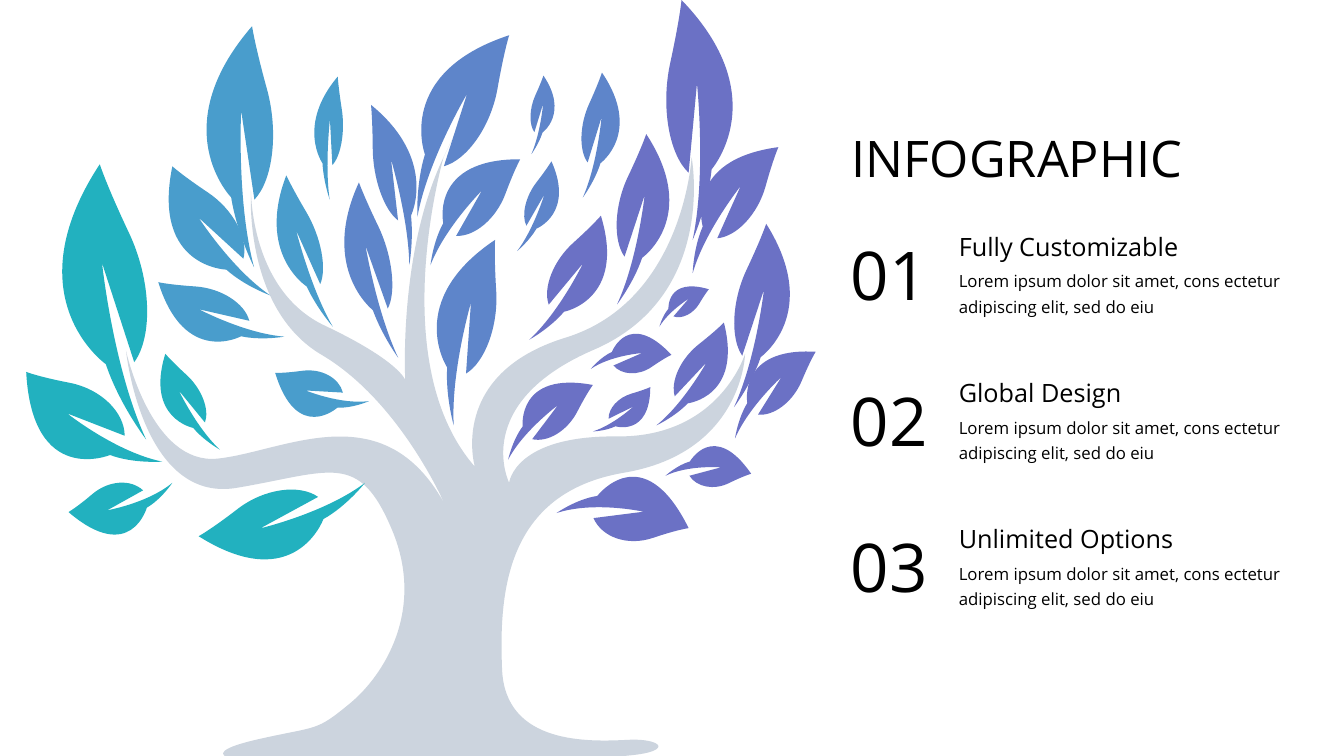
from dataclasses import dataclass

from pptx import Presentation
from pptx.dml.color import RGBColor
from pptx.enum.text import MSO_AUTO_SIZE
from pptx.oxml.ns import qn
from pptx.util import Inches, Pt

FIT_TEXT = MSO_AUTO_SIZE.SHAPE_TO_FIT_TEXT
COLUMNS, ROWS = 1333, 750  # fine grid over the whole slide
BLANK_LAYOUT = 6


@dataclass(frozen=True)
class Theme:
    font: str = "Open Sans"
    text: str = "000000"
    trunk: str = "CCD4DE"
    teal: str = "22B1BF"
    sky: str = "499DCC"
    blue: str = "5E85CA"
    violet: str = "6B71C5"
    title_size: int = 36
    number_size: int = 48
    heading_size: int = 18
    body_size: int = 12


# Smooth curves, each a control point and an end point (column, row).
# A control point equal to its end point makes a sharp tip.
TRUNK_START = (228, 752)
TRUNK_CURVES = (
    (200, 746, 258, 733), (313, 726, 347, 698), (422, 605, 389, 526),
    (329, 468, 235, 484), (125, 348, 125, 348), (150, 462, 216, 455),
    (380, 389, 441, 500), (441, 500, 441, 500), (397, 398, 319, 352),
    (249, 189, 249, 189), (248, 288, 322, 323), (402, 377, 402, 377),
    (395, 250, 440, 156), (440, 156, 440, 156), (381, 360, 471, 463),
    (471, 463, 471, 463), (444, 371, 561, 335), (686, 156, 686, 156),
    (712, 294, 589, 347), (505, 479, 505, 479), (510, 432, 612, 433),
    (739, 351, 739, 351), (737, 449, 619, 469), (495, 589, 498, 664),
    (584, 736, 623, 734), (675, 751, 588, 751), (228, 752, 228, 752),
)

# Leaf outline: share of the way from stem to tip, share of the bulge sideways.
STEM, TIP = (0, 0), (1, 0)
BASE, EDGE, NOTCH, VEIN = (0.29, 0.25), (0.74, -0.16), (0.28, -0.01), (0.65, 0.13)
LEAF_OUTLINE = (
    STEM,
    STEM, (0.14, 0.19), BASE,
    BASE, (0.58, 1), TIP,
    TIP, (0.92, -0.03), EDGE,
    (0.56, -0.29), (0.36, -0.22), NOTCH,
    VEIN, VEIN, VEIN,
    VEIN, (0.27, 0.19), STEM,
)

# Stem column and row, tip column and row, bulge in percent of the length.
LEAVES = {
    "sky": (
        (330, 324, 284, 174, -33), (327, 198, 335, 76, -31), (282, 334, 157, 280, -49),
        (366, 398, 273, 370, -63), (268, 293, 171, 165, -48), (252, 265, 250, 26, -37),
    ),
    "violet": (
        (588, 428, 645, 384, 54), (687, 271, 772, 146, -47), (729, 435, 809, 349, -51),
        (612, 302, 641, 133, 39), (651, 422, 718, 320, 46), (552, 509, 683, 524, -65),
        (660, 472, 745, 470, -64), (504, 456, 588, 382, -54), (586, 366, 666, 352, -64),
        (654, 324, 703, 287, -57), (525, 337, 596, 214, 45), (687, 238, 676, 0, 37),
        (728, 404, 760, 222, 38),
    ),
    "blue": (
        (513, 249, 547, 160, 42), (578, 196, 597, 72, 39), (527, 153, 539, 75, 39),
        (406, 263, 368, 104, 32), (395, 355, 356, 181, -32), (450, 422, 491, 238, -40),
        (427, 263, 516, 158, -50), (414, 215, 505, 35, -42),
    ),
    "teal": (
        (362, 479, 197, 532, -50), (161, 458, 26, 369, -57), (218, 446, 164, 351, -45),
        (171, 479, 68, 508, -63), (145, 436, 99, 163, -39),
    ),
}

ITEMS = (("Fully Customizable", 231), ("Global Design", 167), ("Unlimited Options", 223))
BODY = "Lorem ipsum dolor sit amet, cons ectetur adipiscing elit, sed do eiu"
FIRST_ITEM_ROW, ITEM_PITCH = 229, 145
NUMBER_COLUMN, ITEM_COLUMN = 844, 951


def trunk_points():
    """Add to each curve the first control point that continues the last one."""
    points = [TRUNK_START]
    column, row = next_control = TRUNK_START
    for control_column, control_row, column, row in TRUNK_CURVES:
        points += [next_control, (control_column, control_row), (column, row)]
        next_control = (2 * column - control_column, 2 * row - control_row)
    return points


def leaf_points(stem_column, stem_row, tip_column, tip_row, bulge):
    """Turn, stretch and mirror the leaf outline between stem and tip."""
    stem = complex(stem_column, stem_row)
    axis = complex(tip_column, tip_row) - stem
    points = [stem + axis * complex(along, across * bulge / 100)
              for along, across in LEAF_OUTLINE]
    return [(point.real, point.imag) for point in points]


class SlideBuilder:
    def __init__(self, presentation, theme):
        self.theme = theme
        self.column = presentation.slide_width / COLUMNS
        self.row = presentation.slide_height / ROWS
        self.slide = presentation.slides.add_slide(
            presentation.slide_layouts[BLANK_LAYOUT])

    def place(self, column, row):
        return round(column * self.column), round(row * self.row)

    def curved_shape(self, parent, points, color):
        """Draw a closed outline whose points after the first are curve triples."""
        start, *rest = [self.place(*point) for point in points]
        builder = parent.shapes.build_freeform(*start)
        builder.add_line_segments(rest, close=True)
        shape = builder.convert_to_shape()
        outline = shape._element.find(".//" + qn("a:path"))
        segments = outline.findall(qn("a:lnTo"))
        for first, second, third in zip(*[iter(segments)] * 3):
            first.tag = qn("a:cubicBezTo")
            for segment in (second, third):
                first.append(segment[0])
                outline.remove(segment)
        shape.shadow.inherit = False
        shape.fill.solid()
        shape.fill.fore_color.rgb = RGBColor.from_string(color)
        shape.line.fill.background()

    def tree(self):
        group = self.slide.shapes.add_group_shape()
        self.curved_shape(group, trunk_points(), self.theme.trunk)
        for color_name, leaves in LEAVES.items():
            for leaf in leaves:
                self.curved_shape(group, leaf_points(*leaf), getattr(self.theme, color_name))

    def text(self, content, column, row, width, height, *, size, wrap=False, spacing=None):
        box = self.slide.shapes.add_textbox(
            *self.place(column, row), *self.place(width, height))
        frame = box.text_frame
        frame.margin_left = frame.margin_right = frame.margin_top = frame.margin_bottom = 0
        frame.word_wrap = wrap
        frame.auto_size = FIT_TEXT
        paragraph = frame.paragraphs[0]
        paragraph.line_spacing = spacing
        run = paragraph.add_run()
        run.text = content
        run.font.name = self.theme.font
        run.font.size = Pt(size)
        run.font.color.rgb = RGBColor.from_string(self.theme.text)

    def item(self, index, heading, heading_width):
        row = FIRST_ITEM_ROW + index * ITEM_PITCH
        theme = self.theme
        self.text(f"{index + 1:02}", NUMBER_COLUMN, row + 2, 77, 81, size=theme.number_size)
        self.text(heading, ITEM_COLUMN, row, heading_width, 30, size=theme.heading_size)
        self.text(BODY, ITEM_COLUMN, row + 35, 327, 50,
                  size=theme.body_size, wrap=True, spacing=1.25)


def main():
    presentation = Presentation()
    presentation.slide_width = Inches(13.33)
    presentation.slide_height = Inches(7.5)
    theme = Theme()
    builder = SlideBuilder(presentation, theme)
    builder.tree()
    for index, (heading, width) in enumerate(ITEMS):
        builder.item(index, heading, width)
    builder.text("INFOGRAPHIC", 845, 126, 340, 61, size=theme.title_size)
    presentation.save("out.pptx")


if __name__ == "__main__":
    main()
